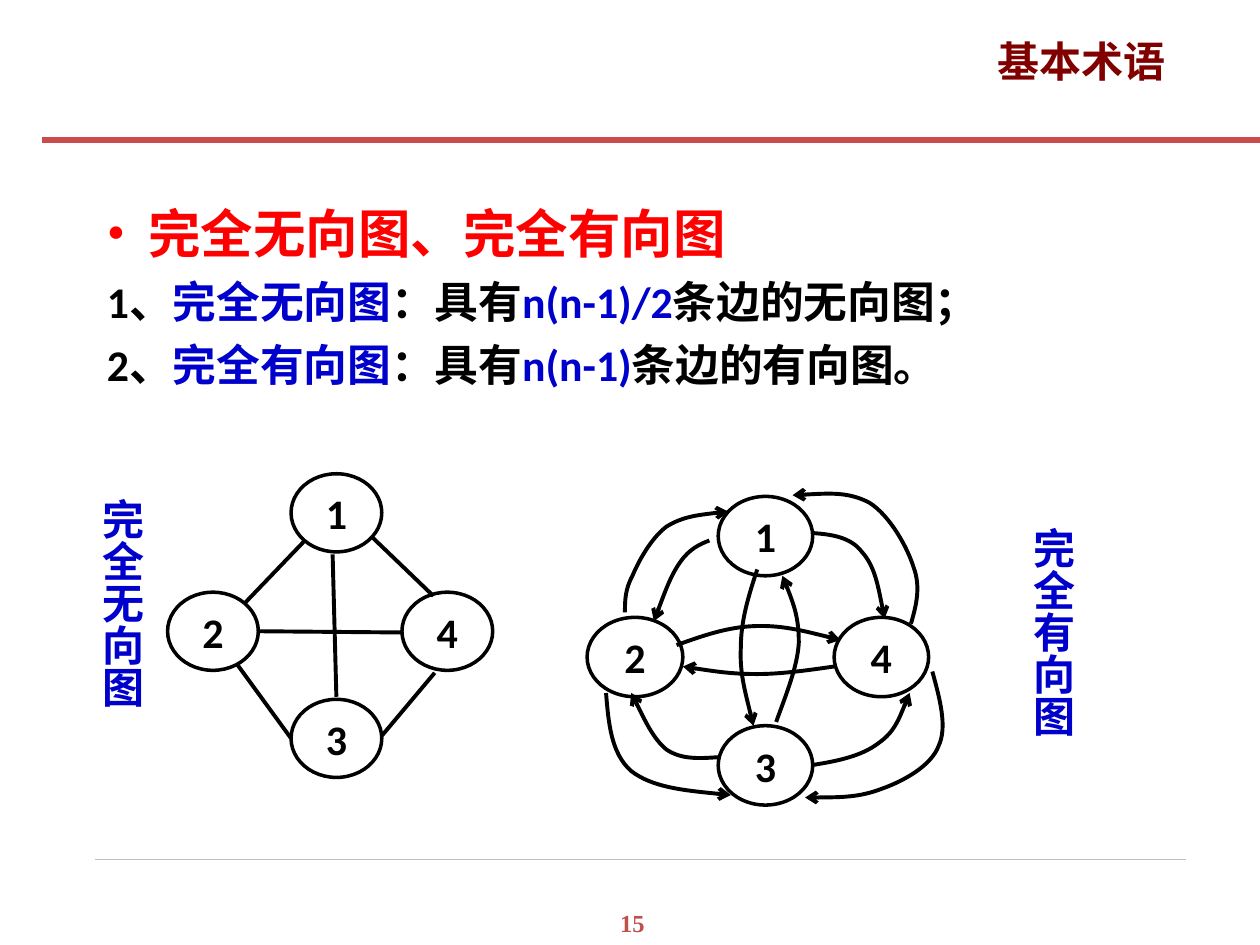
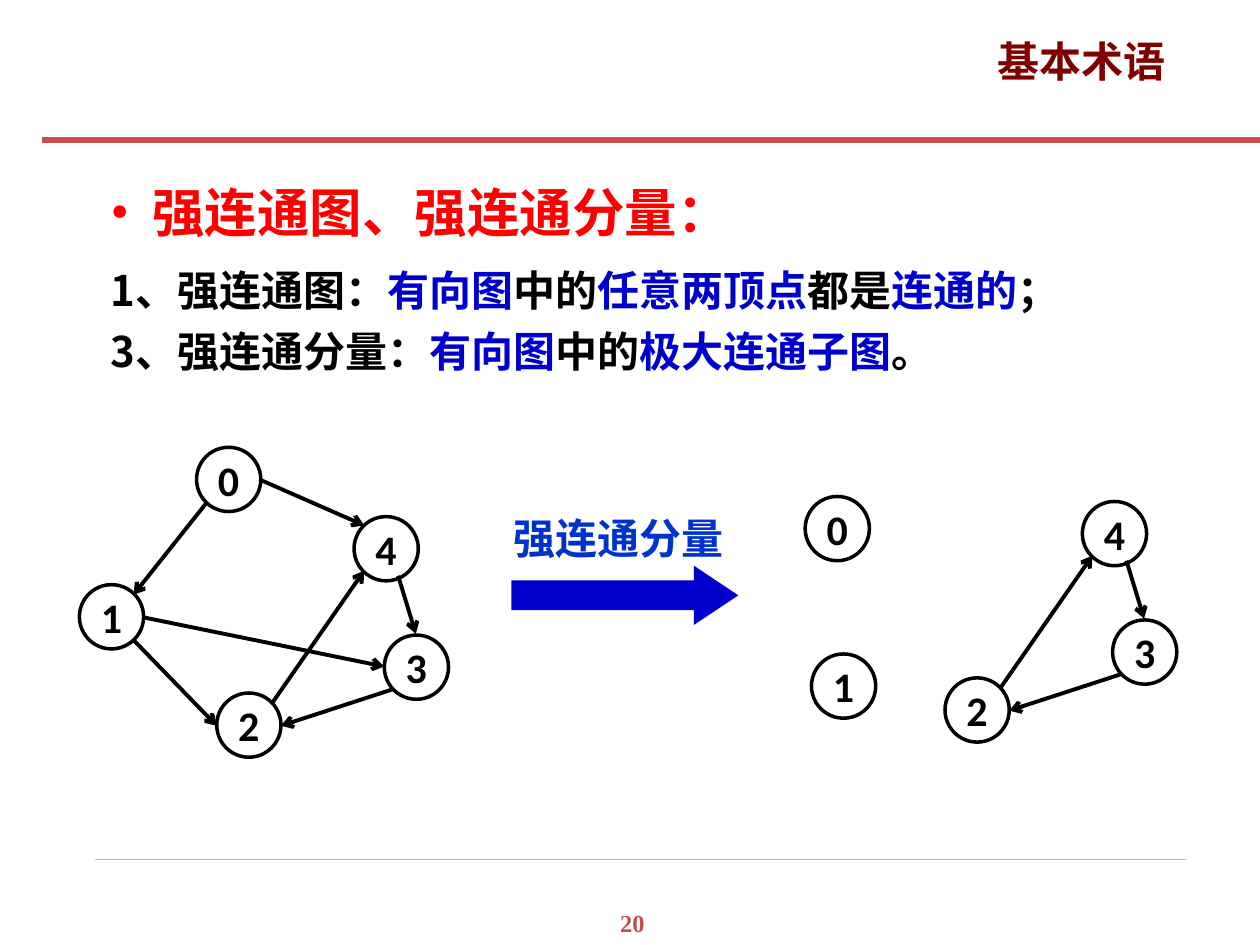
from lxml import etree
from pptx import Presentation
from pptx import util as u
from pptx.dml.color import RGBColor
from pptx.enum import shapes, text
from pptx.oxml import ns

BLACK = RGBColor(0, 0, 0)
RED = RGBColor(0xFF, 0, 0)
BLUE = RGBColor(0, 0, 0xCC)
LABEL_BLUE = RGBColor(0, 0x33, 0xCC)
MAROON = RGBColor(0x80, 0, 0)
BAND = RGBColor(0xC9, 0x4D, 0x4D)
PAGE_RED = RGBColor(0xC0, 0x50, 0x4D)
GREY = RGBColor(0xBF, 0xBF, 0xBF)
CJK, SANS, SERIF = "Noto Sans CJK SC", "Calibri", "Times New Roman"
LEFT, CENTER = text.PP_ALIGN.LEFT, text.PP_ALIGN.CENTER

prs = Presentation()
prs.slide_width, prs.slide_height = u.Inches(10), u.Inches(7.5)
CELL = prs.slide_width / 10  # grid of 10 columns by 7.5 rows


def write(p, line, size, font, colors):
    """Fill a paragraph; parts split by | take the colours in turn."""
    for i, part in enumerate(line.split("|")):
        r = p.add_run()
        r.text = part
        r.font.name, r.font.size, r.font.bold = font, u.Pt(size), True
        r.font.color.rgb = colors[i % len(colors)]
        etree.SubElement(r.font._element, ns.qn("a:ea"), typeface=CJK)


def stroke(sp, color, width, arrow=False):
    """Draw a plain outline without shadow, with an arrowhead on request."""
    sp.line.color.rgb, sp.line.width = color, u.Pt(width)
    spPr = sp._element.spPr
    if arrow:
        etree.SubElement(spPr.find(ns.qn("a:ln")), ns.qn("a:tailEnd"), type="arrow")
    etree.SubElement(spPr, ns.qn("a:effectLst"))


# Undirected complete graph: nodes (label, x, y, w, h) and edges (x1, y1, x2, y2)
undirected_nodes = [(n, x, y, 0.72, 0.62) for n, x, y in
                    [("1", 2.31, 3.76), ("2", 1.33, 4.7), ("4", 3.19, 4.7), ("3", 2.31, 5.55)]]
undirected_edges = [
    (2.95, 4.26, 3.44, 4.73), (2.42, 4.29, 1.94, 4.79), (2.05, 5.01, 3.19, 5.02),
    (2.64, 4.4, 2.67, 5.53), (1.88, 5.27, 2.31, 5.86), (3.03, 5.84, 3.45, 5.34),
]

# Directed complete graph: each curve is a start point, then Bezier triples
directed_nodes = [("1", 5.7, 3.94, 0.75, 0.63), ("2", 4.66, 4.9, 0.76, 0.63),
                  ("4", 6.62, 4.9, 0.75, 0.63), ("3", 5.7, 5.76, 0.75, 0.63)]
directed_curves = [
    [(6.01, 4.52), (5.94, 4.73), (5.88, 4.93), (5.88, 5.14), (5.87, 5.34), (5.93, 5.55), (5.98, 5.76)],
    [(6.16, 5.73), (6.24, 5.51), (6.33, 5.29), (6.34, 5.1), (6.34, 4.9), (6.28, 4.74), (6.21, 4.57)],
    [(5.37, 5.12), (5.57, 5.05), (5.76, 4.98), (5.98, 4.97), (6.2, 4.96), (6.43, 5.02), (6.67, 5.08)],
    [(6.62, 5.29), (6.41, 5.32), (6.2, 5.35), (6.01, 5.35), (5.81, 5.35), (5.61, 5.32), (5.42, 5.29)],
    [(4.81, 5.5), (4.83, 5.74), (4.85, 5.98), (5.01, 6.12), (5.18, 6.25), (5.49, 6.28), (5.8, 6.31)],
    [(5.7, 6.01), (5.55, 6.02), (5.41, 6.03), (5.29, 5.95), (5.18, 5.86), (5.01, 5.5), (5.01, 5.5)],
    [(6.46, 6.07), (6.65, 6.04), (6.84, 6), (6.97, 5.9), (7.1, 5.81), (7.16, 5.65), (7.22, 5.5)],
    [(7.4, 5.33), (7.46, 5.55), (7.52, 5.77), (7.45, 5.92), (7.39, 6.08), (7.17, 6.2), (7, 6.26),
     (6.82, 6.33), (6.6, 6.33), (6.39, 6.33)],
    [(4.96, 4.86), (4.96, 4.77), (4.96, 4.68), (5.02, 4.57), (5.07, 4.45), (5.17, 4.27), (5.29, 4.18),
     (5.42, 4.1), (5.6, 4.08), (5.78, 4.06)],
    [(5.63, 4.29), (5.55, 4.32), (5.47, 4.36), (5.4, 4.46), (5.32, 4.57), (5.19, 4.93), (5.19, 4.93)],
    [(6.44, 4.23), (6.59, 4.24), (6.75, 4.26), (6.84, 4.38), (6.94, 4.49), (6.98, 4.7), (7.02, 4.91)],
    [(7.23, 4.95), (7.27, 4.81), (7.31, 4.66), (7.25, 4.5), (7.2, 4.34), (7.06, 4.09), (6.9, 3.99),
     (6.73, 3.9), (6.51, 3.92), (6.29, 3.93)],
]

# Digraph whose cycle 2-4-3 shows again, shifted, as a strong component
D = 0.51
cycle_nodes = [("4", 2.81, 4.1, D, D), ("2", 1.72, 5.5, D, D), ("3", 3.05, 5.04, D, D)]
cycle_edges = [(2.16, 5.58, 2.89, 4.53), (3.12, 5.47, 2.23, 5.76), (3.16, 4.57, 3.3, 5.03)]
DX, DY = 5.78, -0.12
component_nodes = [(n, x + DX, y + DY, w, h) for n, x, y, w, h in cycle_nodes]
component_edges = [(a + DX, b + DY, c + DX, d + DY) for a, b, c, d in cycle_edges]
single_nodes = [("0", 1.56, 3.55, D, D), ("1", 0.63, 4.64, D, D),
                ("0", 6.39, 3.94, D, D), ("1", 6.44, 5.19, D, D)]
single_edges = [(2.07, 3.81, 2.89, 4.17), (1.64, 3.99, 1.06, 4.72),
                (1.14, 4.9, 3.05, 5.29), (1.06, 5.08, 1.72, 5.76)]

# Body lines: text, size, font, space before, line spacing
pages = [
    dict(number="15", body=(0.75, 1.55, 8.75, 1.6), heading="完全无向图、完全有向图",
         lines=[("1、|完全无向图|：具有|n(n-1)/2|条边的无向图；", 25, SANS, 6, None),
                ("2、|完全有向图|：具有|n(n-1)|条边的有向图。", 25, SANS, 6, None)],
         labels=[((0.62, 3.86, 0.6, 2.45), "完全无向图", 24, BLUE, CJK, LEFT, True),
                 ((8.01, 4.09, 0.6, 2.5), "完全有向图", 24, BLUE, CJK, LEFT, True)],
         nodes=undirected_nodes + directed_nodes, edges=undirected_edges,
         arrows=False, curves=directed_curves, block_arrow=None),
    dict(number="20", body=(0.78, 1.38, 8.75, 1.66), heading="强连通图、强连通分量：",
         lines=[("1、强连通图：|有向图|中的|任意两顶点|都是|连通的|；", 24, CJK, 6, 35),
                ("3、强连通分量：|有向图|中的|极大连通子图|。", 24, CJK, 0, 35)],
         labels=[((3.98, 4.02, 2.11, 0.5), "强连通分量", 24, LABEL_BLUE, SERIF, LEFT, False)],
         nodes=single_nodes + cycle_nodes + component_nodes,
         edges=single_edges + cycle_edges + component_edges,
         arrows=True, curves=[], block_arrow=(4.06, 4.49, 1.8, 0.47)),
]

for page in pages:
    s = prs.slides.add_slide(prs.slide_layouts[6])

    # Rules, then graph edges
    lines = [((0.75, 6.82, 9.41, 6.82), GREY, 0.25, False),
             ((0.33, 1.11, 10, 1.11), BAND, 3.5, False)]
    lines += [(edge, BLACK, 2.25, page["arrows"]) for edge in page["edges"]]
    for ends, color, width, arrow in lines:
        sp = s.shapes.add_connector(shapes.MSO_CONNECTOR.STRAIGHT, *[round(v * CELL) for v in ends])
        stroke(sp, color, width, arrow)

    # Title, page number and labels
    boxes = [((7.34, 0.23, 2.48, 0.69), "基本术语", 24, MAROON, CJK, CENTER, False),
             ((4.77, 7.16, 0.5, 0.34), page["number"], 14, PAGE_RED, SERIF, CENTER, False)]
    for box, words, size, color, font, align, vertical in boxes + page["labels"]:
        tf = s.shapes.add_textbox(*[round(v * CELL) for v in box]).text_frame
        tf.word_wrap = True
        if vertical:
            tf._txBody.bodyPr.set("vert", "eaVert")
            tf.auto_size = text.MSO_AUTO_SIZE.SHAPE_TO_FIT_TEXT
            tf.margin_left = tf.margin_right = u.Inches(0.05)
            tf.margin_top = tf.margin_bottom = u.Inches(0.1)
        p = tf.paragraphs[0]
        p.alignment = align
        write(p, words, size, font, [color])

    # Body: bulleted heading and two definitions
    tf = s.shapes.add_textbox(*[round(v * CELL) for v in page["body"]]).text_frame
    tf.word_wrap = True
    p = tf.paragraphs[0]
    write(p, page["heading"], 30, CJK, [RED])
    pPr = p._p.get_or_add_pPr()
    pPr.set("marL", str(u.Inches(0.33)))
    pPr.set("indent", str(-u.Inches(0.33)))
    buClr = etree.SubElement(pPr, ns.qn("a:buClr"))
    etree.SubElement(buClr, ns.qn("a:srgbClr"), val=str(RED))
    etree.SubElement(pPr, ns.qn("a:buFont"), typeface=SERIF)
    etree.SubElement(pPr, ns.qn("a:buChar"), char="•")
    for line, size, font, before, spacing in page["lines"]:
        p = tf.add_paragraph()
        p.space_before = u.Pt(before)
        if spacing:
            p.line_spacing = u.Pt(spacing)
        write(p, line, size, font, [BLACK, BLUE])

    # Graph nodes
    for label, *box in page["nodes"]:
        sp = s.shapes.add_shape(shapes.MSO_SHAPE.OVAL, *[round(v * CELL) for v in box])
        sp.fill.background()
        stroke(sp, BLACK, 2)
        tf = sp.text_frame
        tf.word_wrap = False
        tf.vertical_anchor = text.MSO_ANCHOR.MIDDLE
        p = tf.paragraphs[0]
        p.alignment = CENTER
        write(p, label, 24, SANS, [BLACK])

    # Curved edges: every three points become one Bezier piece
    for curve in page["curves"]:
        start, *points = [(round(x * CELL), round(y * CELL)) for x, y in curve]
        builder = s.shapes.build_freeform(*start)
        builder.add_line_segments(points, close=False)
        sp = builder.convert_to_shape()
        sp.fill.background()
        stroke(sp, BLACK, 2.25, arrow=True)
        outline = next(sp._element.iter(ns.qn("a:path")))
        steps = outline.findall(ns.qn("a:lnTo"))
        for i in range(0, len(steps), 3):
            bezier = etree.SubElement(outline, ns.qn("a:cubicBezTo"))
            for step in steps[i:i + 3]:
                bezier.append(step[0])
                outline.remove(step)

    # Block arrow towards the components
    if page["block_arrow"]:
        sp = s.shapes.add_shape(shapes.MSO_SHAPE.RIGHT_ARROW, *[round(v * CELL) for v in page["block_arrow"]])
        sp.adjustments[0], sp.adjustments[1] = 0.5, 0.75
        sp.fill.solid()
        sp.fill.fore_color.rgb = BLUE
        sp.line.fill.background()
        sp.shadow.inherit = False

prs.save("out.pptx")
